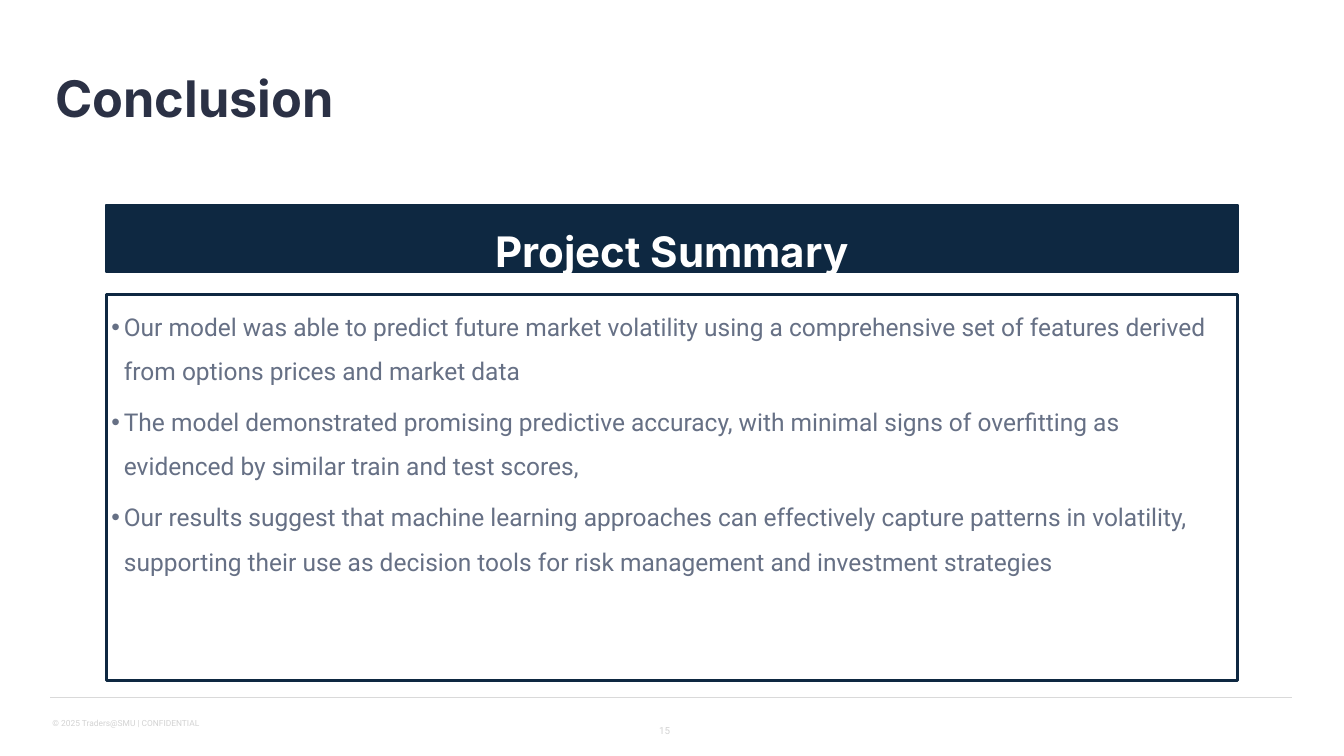
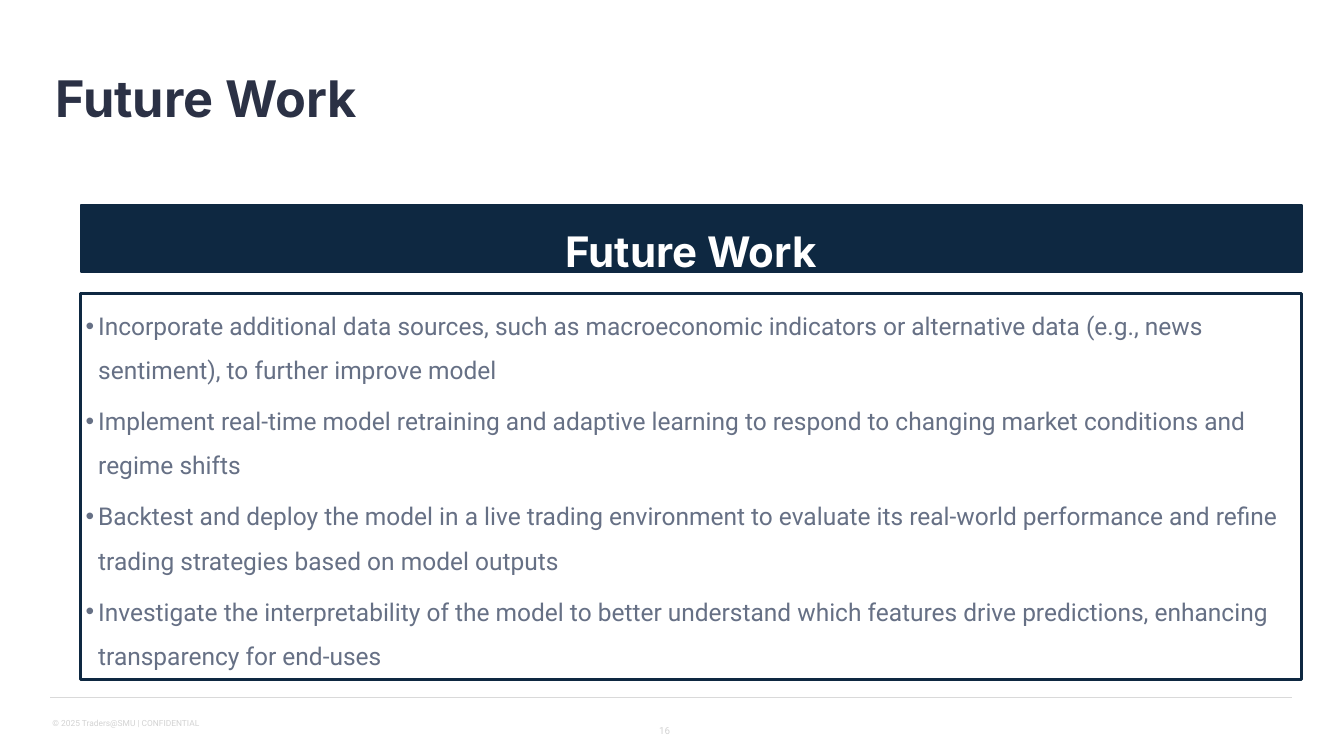
from dataclasses import dataclass

from lxml.etree import SubElement
from pptx import Presentation
from pptx.dml.color import RGBColor
from pptx.enum.shapes import MSO_CONNECTOR as Connector, MSO_SHAPE as Shape
from pptx.enum.text import MSO_ANCHOR as Anchor, PP_ALIGN as Align
from pptx.oxml.ns import qn
from pptx.util import Inches, Pt

FOOTER = " © 2025 Traders@SMU | CONFIDENTIAL"
FIRST_PAGE = 15
SECTIONS = [
    {
        "title": "Conclusion",
        "heading": "Project Summary",
        "left": 2.11, "width": 22.45, "panel_top": 5.85,
        "points": [
            "Our model was able to predict future market volatility using a comprehensive set of features derived from options prices and market data",
            "The model demonstrated promising predictive accuracy, with minimal signs of overfitting as evidenced by similar train and test scores,",
            "Our results suggest that machine learning approaches can effectively capture patterns in volatility, supporting their use as decision tools for risk management and investment strategies",
        ],
    },
    {
        "title": "Future Work",
        "heading": "Future Work",
        "left": 1.6, "width": 24.23, "panel_top": 5.83,
        "points": [
            "Incorporate additional data sources, such as macroeconomic indicators or alternative data (e.g., news sentiment), to further improve model",
            "Implement real-time model retraining and adaptive learning to respond to changing market conditions and regime shifts",
            "Backtest and deploy the model in a live trading environment to evaluate its real-world performance and refine trading strategies based on model outputs",
            "Investigate the interpretability of the model to better understand which features drive predictions, enhancing transparency for end-uses",
        ],
    },
]


@dataclass(frozen=True)
class Theme:
    navy: str = "0E2841"
    title: str = "2B3145"
    body: str = "667085"
    white: str = "FFFFFF"
    muted: str = "D3D3D3"
    rule: str = "D9D9D9"
    head_font: str = "Inter"
    body_font: str = "Roboto"
    title_size: int = 72
    heading_size: int = 60
    body_size: int = 35
    page_size: int = 14
    footer_size: int = 12


THEME = Theme()


def color(value):
    return RGBColor.from_string(value)


def add_bullet(paragraph):
    properties = paragraph._p.get_or_add_pPr()
    properties.set("marL", str(Inches(0.25)))
    properties.set("indent", str(-Inches(0.25)))
    SubElement(properties, qn("a:buFont"), typeface="Arial")
    SubElement(properties, qn("a:buChar"), char="•")


def write(shape, *texts, size, ink, font=THEME.body_font, bold=False, spacing=1.0,
          before=0, bullet=False, align=Align.LEFT, anchor=Anchor.TOP, inset=0.1):
    frame = shape.text_frame
    frame.word_wrap = True
    frame.vertical_anchor = anchor
    frame.margin_left = Inches(inset)
    for index, text in enumerate(texts):
        paragraph = frame.add_paragraph() if index else frame.paragraphs[0]
        paragraph.alignment = align
        paragraph.line_spacing = spacing
        paragraph.space_before = Pt(before if index else 0)
        if bullet:
            add_bullet(paragraph)
        run = paragraph.add_run()
        run.text = text
        run.font.size = Pt(size)
        run.font.name = font
        run.font.bold = bold
        run.font.color.rgb = color(ink)


def text_box(slide, left, top, width, height):
    return slide.shapes.add_textbox(*map(Inches, (left, top, width, height)))


def box(slide, left, top, width, height, line_width, fill=None):
    shape = slide.shapes.add_shape(Shape.RECTANGLE, *map(Inches, (left, top, width, height)))
    shape.shadow.inherit = False
    if fill:
        shape.fill.solid()
        shape.fill.fore_color.rgb = color(fill)
    else:
        shape.fill.background()
    shape.line.color.rgb = color(THEME.navy)
    shape.line.width = Pt(line_width)
    return shape


def add_frame(slide, title, page):
    write(text_box(slide, 1, 14.19, 8.08, 0.3), FOOTER,
          size=THEME.footer_size, ink=THEME.muted, inset=0)
    rule = slide.shapes.add_connector(
        Connector.STRAIGHT, *map(Inches, (1, 13.84, 25.64, 13.84)))
    rule.line.color.rgb = color(THEME.rule)
    rule.line.width = Pt(1)
    SubElement(rule._element.spPr, qn("a:effectLst"))
    write(text_box(slide, 1, 1.25, 23, 1.5), title, size=THEME.title_size, ink=THEME.title,
          font=THEME.head_font, bold=True, spacing=0.9, anchor=Anchor.MIDDLE)
    write(text_box(slide, 12.98, 14.28, 0.69, 0.45), str(page),
          size=THEME.page_size, ink=THEME.muted, anchor=Anchor.MIDDLE)


def add_section(slide, section):
    left, width = section["left"], section["width"]
    panel = box(slide, left, section["panel_top"], width, 7.66, 4.5)
    write(panel, *section["points"], size=THEME.body_size, ink=THEME.body,
          spacing=1.5, before=10, bullet=True)
    banner = box(slide, left, 4.06, width, 1.33, 3, fill=THEME.navy)
    write(banner, section["heading"], size=THEME.heading_size, ink=THEME.white,
          font=THEME.head_font, bold=True, spacing=1.5, align=Align.CENTER,
          anchor=Anchor.MIDDLE)


def main():
    deck = Presentation()
    deck.slide_width, deck.slide_height = Inches(26.67), Inches(15)
    for page, section in enumerate(SECTIONS, FIRST_PAGE):
        slide = deck.slides.add_slide(deck.slide_layouts[6])
        add_frame(slide, section["title"], page)
        add_section(slide, section)
    deck.save("out.pptx")


if __name__ == "__main__":
    main()
